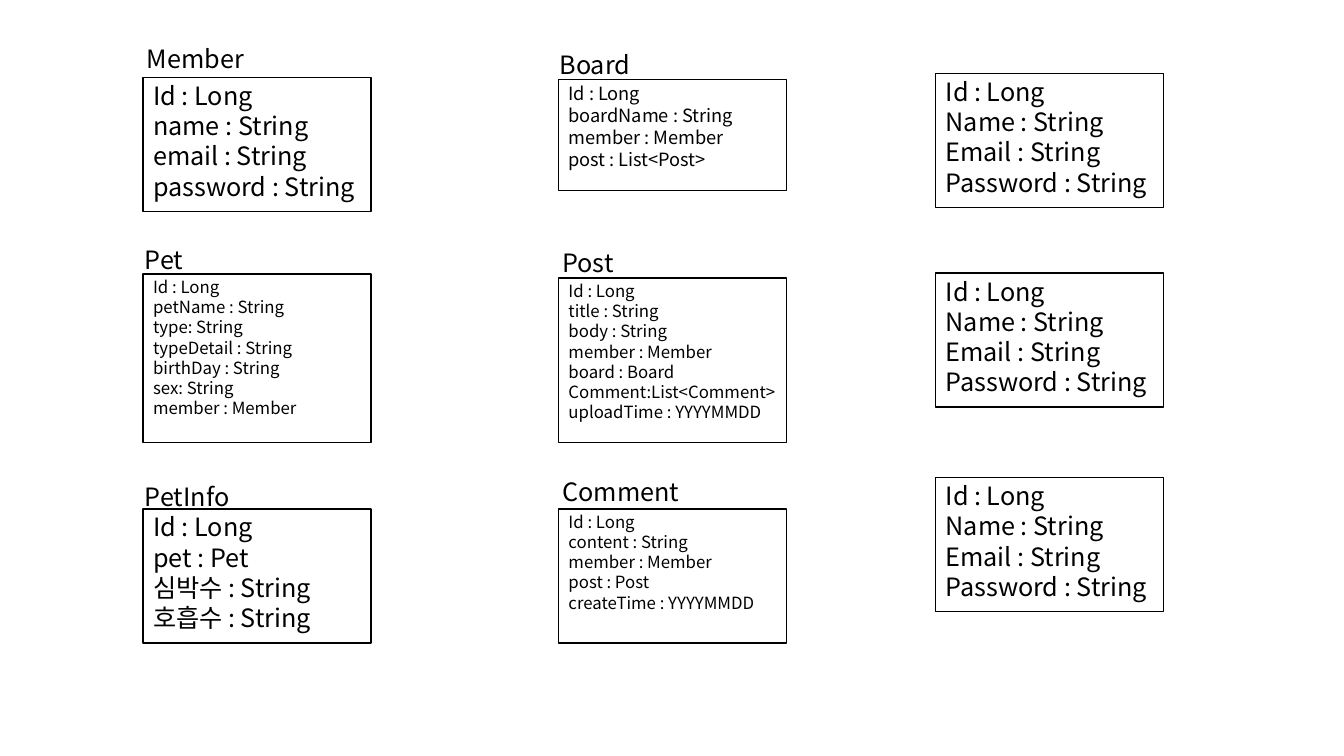
import pptx
import pptx.util
import pptx.dml.color
import pptx.enum.shapes
import pptx.enum.text
import lxml.etree

COLORS = {"box": "FFFFFF", "ink": "000000"}
FONT = "Noto Sans CJK KR"

prs = pptx.Presentation()
prs.slide_width = pptx.util.Inches(13.33)
prs.slide_height = pptx.util.Inches(7.5)
W, H = prs.slide_width / 100, prs.slide_height / 100
s = prs.slides.add_slide(prs.slide_layouts[6])


def rgb(name):
    return pptx.dml.color.RGBColor.from_string(COLORS[name])


def add_text(shapes, x, y, w, h, lines, size):
    tb = shapes.add_textbox(int(x), int(y), int(w), int(h))
    tf = tb.text_frame
    tf.word_wrap = True
    tf.auto_size = pptx.enum.text.MSO_AUTO_SIZE.SHAPE_TO_FIT_TEXT
    for i, line in enumerate(lines):
        p = tf.paragraphs[0] if i == 0 else tf.add_paragraph()
        r = p.add_run()
        r.text = line
        r.font.size = pptx.util.Pt(size)
        r.font.name = FONT
        r.font.color.rgb = rgb("ink")
        # Korean letters take the East Asian font
        ea = lxml.etree.SubElement(r.font._element, pptx.oxml.ns.qn("a:ea"))
        ea.set("typeface", FONT)


# Grid: column lefts in % of the width, box width and usual box height
COLS = [10.65, 41.56, 69.62]
BOX_W, BOX_H = 16.95, 17.73
LIFT = 0.3       # text sits slightly above its box
LINE_H = 1.2     # line height in font sizes
INSET = pptx.util.Inches(0.1)
ACCOUNT = ["Id : Long", "Name : String", "Email : String", "Password : String"]

# Entities: column, top %, height %, text size, fields
entities = [
    (0, 10.27, BOX_H, 18, ["Id : Long", "name : String", "email : String",
                           "password : String"]),
    (0, 36.27, 22.27, 12, ["Id : Long", "petName : String", "type: String",
                           "typeDetail : String", "birthDay : String",
                           "sex: String", "member : Member"]),
    (0, 67.33, BOX_H, 18, ["Id : Long", "pet : Pet", "심박수 : String",
                           "호흡수 : String"]),
    (1, 10.53, 14.67, 13, ["Id : Long", "boardName : String",
                           "member : Member", "post : List<Post>"]),
    (1, 36.8, 21.73, 12, ["Id : Long", "title : String", "body : String",
                          "member : Member", "board : Board",
                          "Comment:List<Comment>", "uploadTime : YYYYMMDD"]),
    (1, 67.33, BOX_H, 12, ["Id : Long", "content : String", "member : Member",
                           "post : Post", "createTime : YYYYMMDD"]),
    (2, 9.73, BOX_H, 18, ACCOUNT),
    (2, 36.13, BOX_H, 18, ACCOUNT),
    (2, 63.2, BOX_H, 18, ACCOUNT),
]
for col, top, height, size, fields in entities:
    group = s.shapes.add_group_shape()
    x, y = COLS[col] * W, top * H
    sp = group.shapes.add_shape(pptx.enum.shapes.MSO_SHAPE.RECTANGLE,
                                int(x), int(y), int(BOX_W * W), int(height * H))
    sp.shadow.inherit = False
    sp.fill.solid()
    sp.fill.fore_color.rgb = rgb("box")
    sp.line.color.rgb = rgb("ink")
    sp.line.width = pptx.util.Pt(1)
    text_h = len(fields) * pptx.util.Pt(size * LINE_H) + INSET
    add_text(group.shapes, x, y - LIFT * H, BOX_W * W, text_h, fields, size)

# Entity names: left %, top %
names = [
    ("Member", 10.2, 5.07), ("Pet", 10.05, 31.6), ("PetInfo", 10.05, 63.07),
    ("Board", 40.89, 5.87), ("Post", 41.11, 32), ("Comment", 41.11, 62.4),
]
for name, left, top in names:
    add_text(s.shapes, left * W, top * H, 11.63 * W, 5.33 * H, [name], 18)

prs.save("out.pptx")
